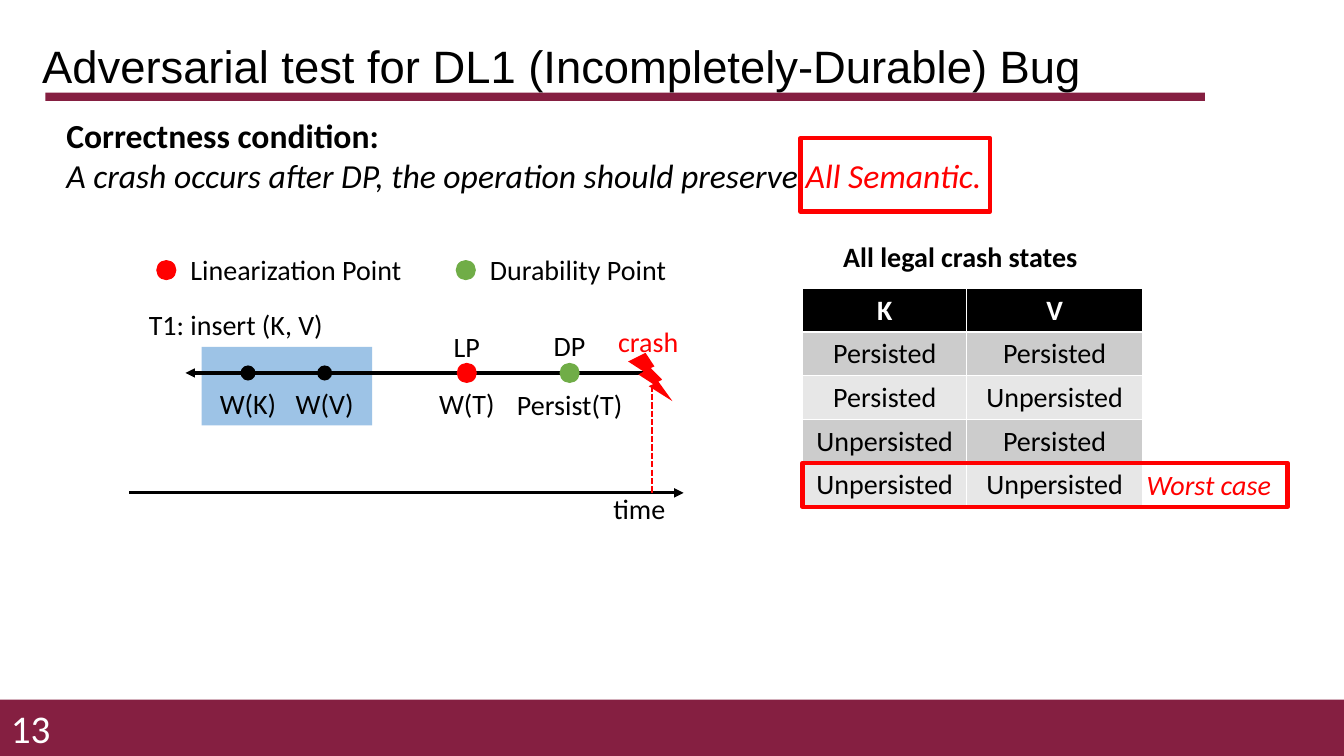
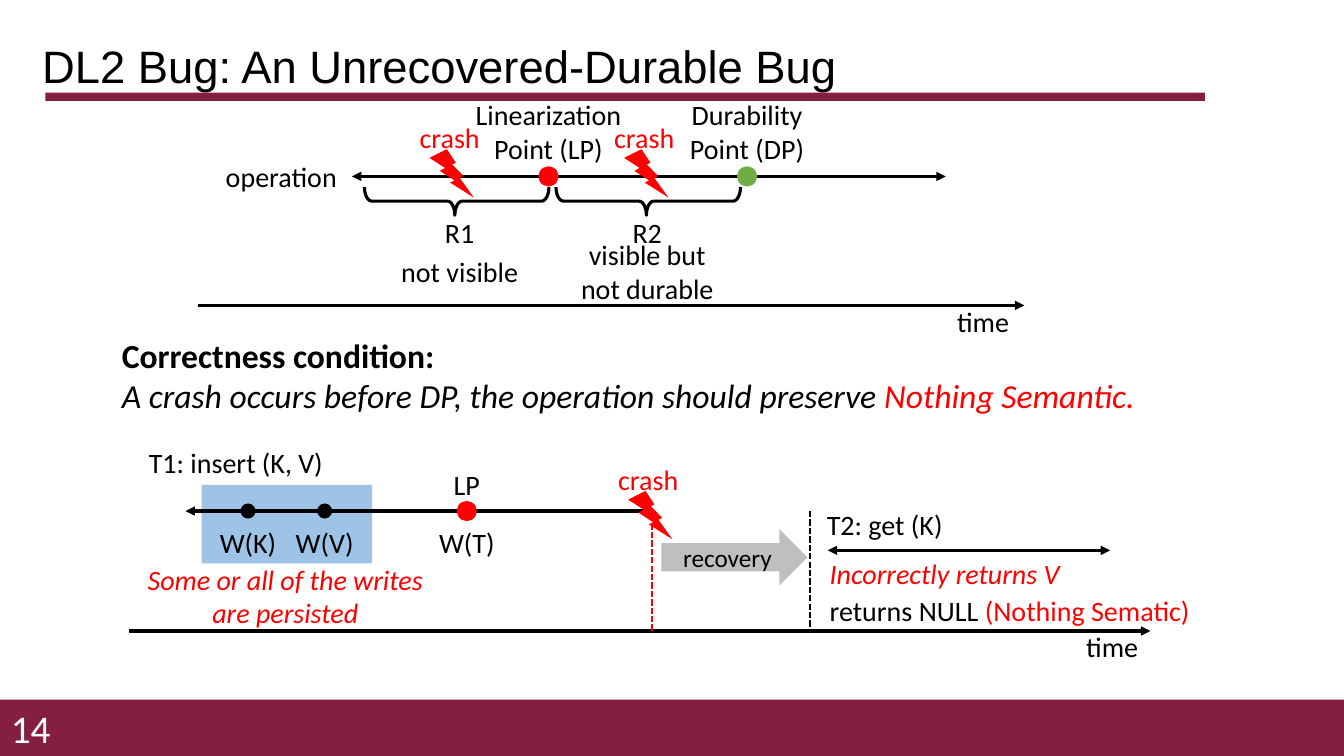
from pptx import Presentation
from pptx.dml.color import RGBColor
from pptx.enum.dml import MSO_LINE
from pptx.enum.shapes import MSO_CONNECTOR, MSO_SHAPE
from pptx.enum.text import MSO_ANCHOR, PP_ALIGN
from pptx.oxml.ns import qn
from pptx.util import Inches, Pt
from lxml import etree

LEFT, MID, RIGHT = PP_ALIGN.LEFT, PP_ALIGN.CENTER, PP_ALIGN.RIGHT
TOP, CENTER = MSO_ANCHOR.TOP, MSO_ANCHOR.MIDDLE
RECT, OVAL = MSO_SHAPE.RECTANGLE, MSO_SHAPE.OVAL
BOLT, BRACE = MSO_SHAPE.LIGHTNING_BOLT, MSO_SHAPE.LEFT_BRACE
ARROW = MSO_SHAPE.RIGHT_ARROW
STRAIGHT, DASH = MSO_CONNECTOR.STRAIGHT, MSO_LINE.SQUARE_DOT

BLACK, WHITE, RED, GREEN = "000000", "FFFFFF", "FF0000", "70AD47"
WINE, BLUE, GRAY = "851F41", "9DC3E6", "BFBFBF"
DARK, PALE = "CCCCCC", "E7E7E7"


def color(code):
    return RGBColor.from_string(code)


def write(frame, paras, size=20, font="Calibri", ink=BLACK, bold=False,
          italic=False, align=MID, gap=None):
    """Each paragraph is a string or a list of (text, changes) runs."""
    paras = [paras] if isinstance(paras, str) else paras
    for i, runs in enumerate(paras):
        para = frame.add_paragraph() if i else frame.paragraphs[0]
        para.alignment = align
        if gap:
            para.line_spacing = gap
        runs = [(runs, {})] if isinstance(runs, str) else runs
        for text, change in runs:
            look = {"ink": ink, "bold": bold, "italic": italic} | change
            run = para.add_run()
            run.text = text
            run.font.name, run.font.size = font, Pt(size)
            run.font.bold, run.font.italic = look["bold"], look["italic"]
            run.font.color.rgb = color(look["ink"])


class Deck:
    def __init__(self):
        self.show = Presentation()
        self.show.slide_width = Inches(13.33)
        self.show.slide_height = Inches(7.5)
        self.slide = None

    # Shared frame of every slide
    def start(self, title, number):
        self.slide = self.show.slides.add_slide(self.show.slide_layouts[6])
        self.shape(RECT, 0, 6.94, 13.33, 0.56, fill=WINE)
        self.shape(RECT, 0.45, 0.92, 11.5, 0.08, fill=WINE)
        self.text(title, 0.32, 0.4, 11.5, 0.56, anchor=CENTER, size=32.4,
                  font="Arial", align=LEFT, gap=0.9)
        self.text(str(number), 0, 7.02, 0.6, 0.4, anchor=CENTER, size=28,
                  ink=WHITE, align=RIGHT)

    # Basic elements
    def text(self, words, left, top, width, height=0.44, anchor=TOP, **look):
        box = self.slide.shapes.add_textbox(
            Inches(left), Inches(top), Inches(width), Inches(height))
        box.text_frame.word_wrap = True
        box.text_frame.vertical_anchor = anchor
        write(box.text_frame, words, **look)

    def label(self, words, mid, top, width, **look):
        self.text(words, mid - width / 2, top, width, **look)

    def shape(self, kind, left, top, width, height, fill=None, line=None,
              weight=3):
        item = self.slide.shapes.add_shape(
            kind, Inches(left), Inches(top), Inches(width), Inches(height))
        item.shadow.inherit = False
        if fill:
            item.fill.solid()
            item.fill.fore_color.rgb = color(fill)
        else:
            item.fill.background()
        if line:
            item.line.color.rgb = color(line)
            item.line.width = Pt(weight)
        else:
            item.line.fill.background()
        return item

    def line(self, x1, y1, x2, y2, ink=BLACK, weight=2.25, dash=None,
             head=False, tail=False):
        item = self.slide.shapes.add_connector(
            STRAIGHT, Inches(x1), Inches(y1), Inches(x2), Inches(y2))
        item.line.color.rgb = color(ink)
        item.line.width = Pt(weight)
        if dash:
            item.line.dash_style = dash
        props = item.element.spPr
        stroke = props.find(qn("a:ln"))
        for on, tag in ((head, "a:headEnd"), (tail, "a:tailEnd")):
            if on:
                etree.SubElement(stroke, qn(tag), type="triangle")
        etree.SubElement(props, qn("a:effectLst"))

    def table(self, rows, left, top, widths, height):
        grid = self.slide.shapes.add_table(
            len(rows), len(widths), Inches(left), Inches(top),
            Inches(sum(widths)), Inches(height * len(rows))).table
        for col, width in zip(grid.columns, widths):
            col.width = Inches(width)
        for r, row in enumerate(rows):
            fill = (DARK if r % 2 else PALE) if r else BLACK
            for c, words in enumerate(row):
                cell = grid.cell(r, c)
                cell.fill.solid()
                cell.fill.fore_color.rgb = color(fill)
                write(cell.text_frame, words, bold=r == 0,
                      ink=BLACK if r else WHITE)

    # Parts of the timelines
    def dot(self, x, y, fill, size=0.2):
        self.shape(OVAL, x - size / 2, y - size / 2, size, size, fill=fill)

    def crash(self, x, y):
        self.shape(BOLT, x, y - 0.2, 0.44, 0.48, fill=RED)
        self.label("crash", x + 0.2, y - 0.53, 0.83, ink=RED)

    def axis(self, x1, x2, y, mid):
        self.line(x1, y, x2, y, tail=True)
        self.label("time", mid, y - 0.06, 0.82)

    def brace(self, mid, y):
        item = self.shape(BRACE, mid - 0.14, y - 0.91, 0.28, 1.83,
                          line=BLACK, weight=2.25)
        item.rotation = 270
        item.adjustments[0], item.adjustments[1] = 0.26, 0.49

    def insert(self, y, end, mid):
        """The T1 insert that crashes, over a time axis."""
        self.shape(RECT, 2, y - 0.26, 1.69, 0.78, fill=BLUE)
        self.axis(1.28, end, y + 1.19, mid)
        self.label("T1: insert (K, V)", 2.34, y - 0.7, 2)
        self.line(1.84, y, 6.47, y, head=True)
        self.line(6.47, y + 0.04, 6.47, y + 1.19, ink=RED, weight=1.5,
                  dash=DASH)
        self.crash(6.23, y)
        for x, words in ((2.46, "W(K)"), (3.22, "W(V)")):
            self.dot(x, y, BLACK, 0.15)
            self.label(words, x, y + 0.09, 0.79)
        self.dot(4.63, y, RED)
        self.label("LP", 4.63, y - 0.48, 0.6)
        self.label("W(T)", 4.63, y + 0.09, 0.99)

    def rule(self, left, top, width, when, what):
        """The correctness condition."""
        self.text([[("Correctness condition:", {"bold": True})],
                   [(f"A crash occurs {when} DP, the operation should "
                     "preserve ", {"italic": True}),
                    (what, {"italic": True, "ink": RED})]],
                  left, top, width, 0.91, size=24, align=LEFT)


def durable(deck):
    deck.start("Adversarial test for DL1 (Incompletely-Durable) Bug", 13)
    deck.rule(0.56, 1.09, 12.21, "after", "All Semantic.")
    deck.shape(RECT, 7.94, 1.37, 1.88, 0.73, line=RED)

    # Legend
    for x, fill, words in ((1.65, RED, "Linearization Point"),
                           (4.62, GREEN, "Durability Point")):
        deck.dot(x, 2.68, fill)
        deck.text(words, x + 0.14, 2.46, 2.31, align=LEFT)

    # Timeline
    deck.insert(3.7, 6.78, 6.34)
    deck.dot(5.65, 3.7, GREEN)
    deck.label("DP", 5.65, 3.21, 0.6)
    deck.label("Persist(T)", 5.65, 3.8, 1.29)

    # Crash states
    yes, no = "Persisted", "Unpersisted"
    deck.text("All legal crash states", 8.15, 2.33, 2.75, bold=True)
    deck.table([("K", "V"), (yes, yes), (yes, no), (no, yes), (no, no)],
               7.96, 2.86, (1.63, 1.74), 0.43)
    deck.shape(RECT, 7.96, 4.59, 4.81, 0.44, line=RED)
    deck.text("Worst case", 11.21, 4.59, 1.56, ink=RED, italic=True)


def recover(deck):
    deck.start("DL2 Bug: An Unrecovered-Durable Bug", 14)

    # Operation and its crash ranges
    deck.axis(1.96, 10.16, 3.03, 9.75)
    deck.line(3.49, 1.75, 9.38, 1.75, head=True, tail=True)
    deck.text("operation", 2.12, 1.53, 1.34)
    deck.dot(5.44, 1.75, RED)
    deck.dot(7.41, 1.75, GREEN)
    deck.label("Linearization Point (LP)", 5.44, 0.92, 1.69, height=0.77)
    deck.label("Durability Point (DP)", 7.41, 0.92, 1.43, height=0.77)
    for name, mid, brace, bolt in (("R1", 4.56, 4.53, 4.26),
                                   ("R2", 6.42, 6.43, 6.19)):
        deck.brace(brace, 1.99)
        deck.label(name, mid, 2.09, 1.43)
        deck.crash(bolt, 1.68)
    deck.label("not visible", 4.56, 2.48, 1.43)
    deck.label(["visible but", "not durable"], 6.42, 2.31, 1.71, height=0.77)

    deck.rule(1.11, 3.27, 10.45, "before", "Nothing Semantic.")

    # Crashed insert
    deck.insert(5.07, 11.41, 11.03)
    deck.text("Some or all of the writes are persisted", 1.32, 5.53, 3.02,
              0.77, ink=RED, italic=True)

    # Recovery and the later get
    arrow = deck.shape(ARROW, 6.56, 5.25, 1.45, 0.56, fill=GRAY)
    arrow.text_frame.vertical_anchor = CENTER
    write(arrow.text_frame, "recovery", size=18)
    deck.line(8.03, 5.07, 8.03, 6.26, weight=1.5, dash=DASH)
    deck.line(8.21, 5.46, 11.01, 5.46, head=True, tail=True)
    deck.text("T2: get (K)", 7.95, 4.99, 1.65)
    deck.text("Incorrectly returns V", 8.13, 5.47, 3.46, ink=RED,
              italic=True, align=LEFT)
    deck.text([[("returns NULL ", {}), ("(Nothing Sematic)", {"ink": RED})]],
              8.13, 5.84, 4.02, align=LEFT)


def main():
    deck = Deck()
    durable(deck)
    recover(deck)
    deck.show.save("out.pptx")


if __name__ == "__main__":
    main()
